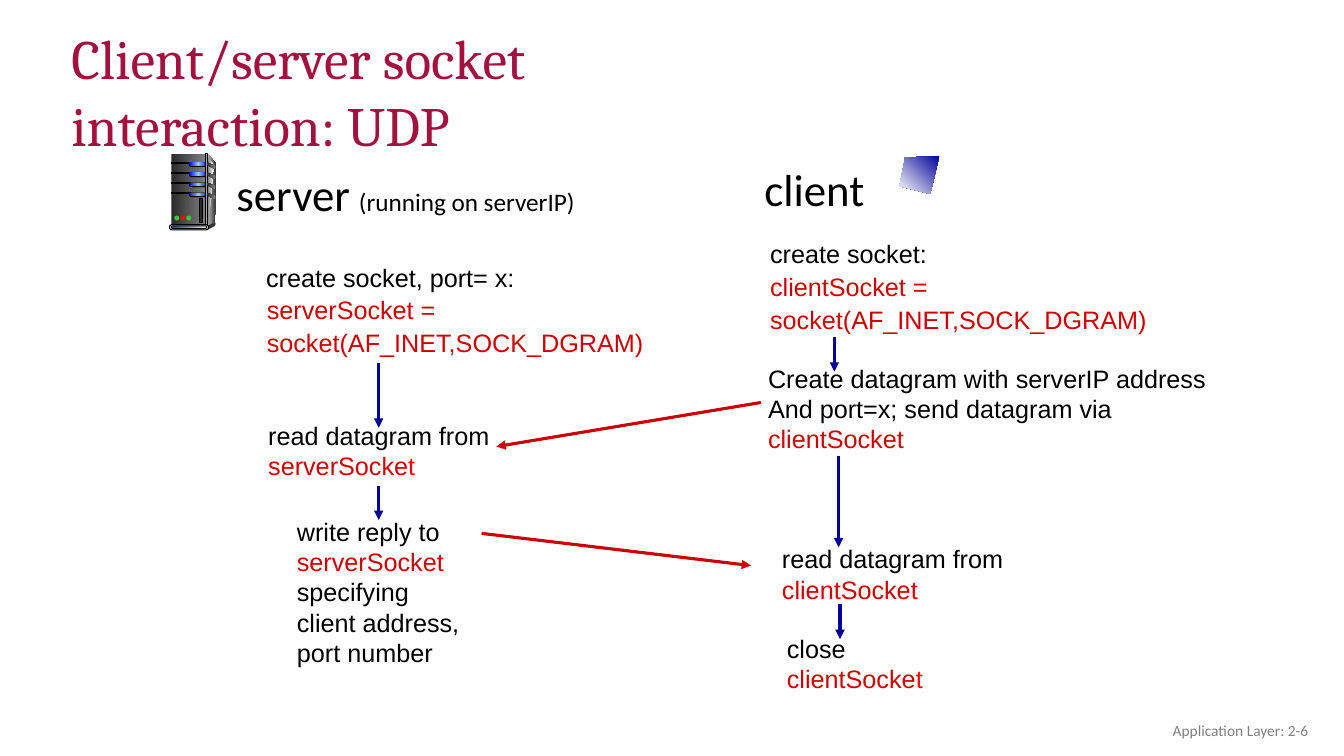
"""Build the UDP client/server socket interaction slide."""
import copy

import pptx
import pptx.dml.color
import pptx.enum.shapes
import pptx.enum.text
import pptx.oxml
import pptx.oxml.ns
import pptx.util

Pt = pptx.util.Pt
SHAPES = pptx.enum.shapes.MSO_SHAPE
ALIGN = pptx.enum.text.PP_ALIGN
ANCHOR = pptx.enum.text.MSO_ANCHOR
FIT = pptx.enum.text.MSO_AUTO_SIZE

BLACK, RED, BRIGHT_RED, BLUE = "000000", "CC0000", "FF0000", "000099"
GREY, CRIMSON = "808080", "A3123E"

TITLE = "Client/server socket interaction: UDP"
FOOTER = "Application Layer: 2-6"
SOCKET_CALL = "socket(AF_INET,SOCK_DGRAM)"

STEPS = [
    ((555, 448.5, 112.5, 51), [[("close", BLACK)], [("clientSocke", RED), ("t", BRIGHT_RED)]]),
    ((551.5, 384.5, 174, 51), [[("read datagram from", BLACK)], [("clientSocket", RED)]]),
    ((543, 166.5, 127.5, 29), [[("create socket:", BLACK)]]),
    ((541.5, 255.5, 330.5, 72.5), [
        [("Create datagram with serverIP address", BLACK)],
        [("And port=x; send datagram via", BLACK), ("\n", BLACK), ("clientSocket", RED)]]),
    ((183, 183.5, 193.5, 29), [[("create socket, port= x:", BLACK)]]),
    ((184.5, 296, 174, 51), [
        [("read datagram from", BLACK)], [("serverSocke", RED), ("t", BRIGHT_RED)]]),
    ((205, 364.5, 132.5, 116.5), [
        [("write reply to", BLACK)], [("serverSocket", RED)],
        [("specifying", BLACK), ("\n", BLACK), ("client address,", BLACK)],
        [("port number", BLACK)]]),
]
SOCKET_CREATION = [
    ((543, 191, 286.5, 52.5), "clientSocket ="),
    ((183.5, 207.5, 286.5, 52.5), "serverSocket ="),
]
HEADINGS = [
    ((160.5, 115, 258.5, 46), [("server", 32), (" ", 28), ("(running on serverIP)", 18)]),
    ((538.5, 111.5, 86.5, 46), [("client", 32)]),
]
ARROWS = [
    (600, 431.5, 600, 456.5, BLUE),
    (599, 326, 599, 391, BLUE),
    (596, 240.5, 596, 265.5, BLUE),
    (270.5, 259, 270.5, 305.5, BLUE),
    (270.5, 347, 270.5, 371.5, BLUE),
    (543.5, 287.5, 354.5, 319, RED),
    (344, 381, 536.5, 404, RED),
]

BAY_TOP, BAY_PITCH, BAY_COUNT = 116, 7.2, 4
LAMP_COLORS = ["33CC33", "FF0000", "33CC33"]
DARK_METAL = ["292929", "808080"]
BLUE_GLOW = ["0000FF", "99CCFF", "0000FF"]
TOWER_SIDE = [(148.5, 110), (154, 116.5), (153.5, 160), (147, 162), (148.5, 110)]
TOWER_SHEEN = [(148.5, 113), (152.5, 117.5), (151, 140), (148.5, 160.5), (148.5, 113)]
TOWER_FOOT = [(147.5, 161.5), (148.5, 164), (153.5, 161.5), (153.5, 159), (147.5, 161.5)]
CLIENT_SCREEN = [(671, 111.5), (646.5, 112.5), (642.5, 133), (664.5, 138.5), (671, 111.5)]


def rgb(value):
    """Return the colour for a hex string."""
    return pptx.dml.color.RGBColor.from_string(value)


def apply(target, formats):
    """Set each named attribute on the target."""
    for name, value in formats.items():
        setattr(target, name, value)


def add_text(slide, box, paragraphs, frame_formats=None, paragraph_formats=None, gap=0):
    """Add a text box from paragraphs of (text, font name, size, colour) runs."""
    frame = slide.shapes.add_textbox(*map(Pt, box)).text_frame
    apply(frame, {"word_wrap": False, "auto_size": FIT.SHAPE_TO_FIT_TEXT,
                  "vertical_anchor": ANCHOR.MIDDLE, **(frame_formats or {})})
    for index, runs in enumerate(paragraphs):
        paragraph = frame.add_paragraph() if index else frame.paragraphs[0]
        apply(paragraph, paragraph_formats or {})
        if index and gap:
            paragraph.space_before = Pt(gap)
        for text, font, size, color in runs:
            if text == "\n":
                paragraph.add_line_break()
                continue
            run = paragraph.add_run()
            run.text = text
            apply(run.font, {"name": font, "size": Pt(size)})
            run.font.color.rgb = rgb(color)


def paint(shape, colors, angle=0, outlined=False):
    """Fill a shape with one colour or an even gradient."""
    shape.shadow.inherit = False
    fill = shape.fill
    if len(colors) == 1:
        fill.solid()
        fill.fore_color.rgb = rgb(colors[0])
    else:
        fill.gradient()
        fill.gradient_angle = angle
        stop_list = shape._element.spPr.find(".//" + pptx.oxml.ns.qn("a:gsLst"))
        for _ in colors[2:]:
            stop_list.append(copy.deepcopy(stop_list[-1]))
        for index, (stop, color) in enumerate(zip(fill.gradient_stops, colors)):
            stop.position = index / (len(colors) - 1)
            stop.color.rgb = rgb(color)
    if outlined:
        shape.line.color.rgb = rgb(BLACK)
        shape.line.width = Pt(0.75)
    else:
        shape.line.fill.background()


def add_part(slide, kind, box, colors, outlined=False):
    """Add a painted preset shape."""
    shape = slide.shapes.add_shape(kind, *map(Pt, box))
    if kind == SHAPES.ROUNDED_RECTANGLE:
        shape.adjustments[0] = 0.5
    paint(shape, colors, outlined=outlined)


def add_outline(slide, points, colors, angle=0):
    """Add a painted polygon."""
    corners = [(Pt(x), Pt(y)) for x, y in points]
    builder = slide.shapes.build_freeform(*corners[0])
    builder.add_line_segments(corners[1:-1], close=True)
    paint(builder.convert_to_shape(), colors, angle)


def add_arrow(slide, start_x, start_y, end_x, end_y, color):
    """Add a straight arrow."""
    arrow = slide.shapes.add_connector(
        pptx.enum.shapes.MSO_CONNECTOR.STRAIGHT, Pt(start_x), Pt(start_y), Pt(end_x), Pt(end_y))
    arrow.line.color.rgb = rgb(color)
    arrow.line.width = Pt(2.25)
    head = pptx.oxml.parse_xml(f'<a:tailEnd {pptx.oxml.ns.nsdecls("a")} type="triangle"/>')
    arrow.line._get_or_add_ln().append(head)
    arrow._element.spPr.append(
        pptx.oxml.parse_xml(f'<a:effectLst {pptx.oxml.ns.nsdecls("a")}/>'))


def add_server(slide):
    """Draw the server tower."""
    rectangle, pill, ellipse = SHAPES.RECTANGLE, SHAPES.ROUNDED_RECTANGLE, SHAPES.OVAL
    add_outline(slide, TOWER_SIDE, ["DDDDDD", "333333"])
    add_part(slide, rectangle, (122.5, 110, 24.5, 52), DARK_METAL)
    add_outline(slide, TOWER_SHEEN, ["808080", "F8F8F8"])
    for bay in range(BAY_COUNT):
        top = BAY_TOP + bay * BAY_PITCH
        add_part(slide, rectangle, (122.5, top, 13.5, 1), [BLACK], outlined=True)
        add_part(slide, pill, (135, top, 13.5, 3.25), [BLACK])
        add_part(slide, pill, (135.25, top, 13, 2.25), BLUE_GLOW)
    add_part(slide, rectangle, (147, 110, 1.5, 52), ["333333", "DDDDDD", "333333"], outlined=True)
    for bay in range(BAY_COUNT):
        top = BAY_TOP + bay * BAY_PITCH
        slot = [(148, top), (153.75, top + 2.5), (153.5, top + 4.75), (148, top + 2), (148, top)]
        add_outline(slide, slot, DARK_METAL)
    add_part(slide, ellipse, (152.5, 159, 1.5, 2), ["333333"])
    add_outline(slide, TOWER_FOOT, ["333333"])
    add_part(slide, pill, (121, 160.5, 28, 3.75), ["DDDDDD"], outlined=True)
    add_part(slide, pill, (122.5, 161.25, 25, 2), ["1F497D", "EEECE1"], outlined=True)
    for index, color in enumerate(LAMP_COLORS):
        add_part(slide, ellipse, (124.5 + index * 4.3, 154, 3.5, 3.5), [color])
    add_part(slide, rectangle, (142.5, 142, 2, 17), ["292929"], outlined=True)


def main():
    """Assemble and save the slide."""
    presentation = pptx.Presentation()
    apply(presentation, {"slide_width": Pt(960), "slide_height": Pt(540)})
    slide = presentation.slides.add_slide(presentation.slide_layouts[6])
    no_margins = dict.fromkeys(["margin_left", "margin_top", "margin_right", "margin_bottom"], 0)
    add_text(slide, (51, 17.5, 428.5, 49.5), [[(TITLE, "Cambria", 39.6, CRIMSON)]],
             {"word_wrap": True, "auto_size": FIT.NONE, "vertical_anchor": ANCHOR.TOP,
              **no_margins})
    for box, paragraphs in STEPS:
        add_text(slide, box, [[(text, "Arial", 18, color) for text, color in runs]
                              for runs in paragraphs])
    for box, variable in SOCKET_CREATION:
        add_text(slide, box, [[(text, "Arial", 18, RED)] for text in (variable, SOCKET_CALL)],
                 paragraph_formats={"line_spacing": Pt(20)}, gap=3.6)
    for arrow in ARROWS:
        add_arrow(slide, *arrow)
    for box, runs in HEADINGS:
        add_text(slide, box, [[(text, "Calibri", size, BLACK) for text, size in runs]],
                 paragraph_formats={"alignment": ALIGN.CENTER})
    add_server(slide)
    add_outline(slide, CLIENT_SCREEN, [BLUE, "FFFFFF"], 225)
    add_text(slide, (725.75, 507.5, 216, 29), [[(FOOTER, "Calibri", 11, GREY)]],
             {"word_wrap": True, "auto_size": FIT.NONE}, {"alignment": ALIGN.RIGHT})
    presentation.save("out.pptx")


if __name__ == "__main__":
    main()
